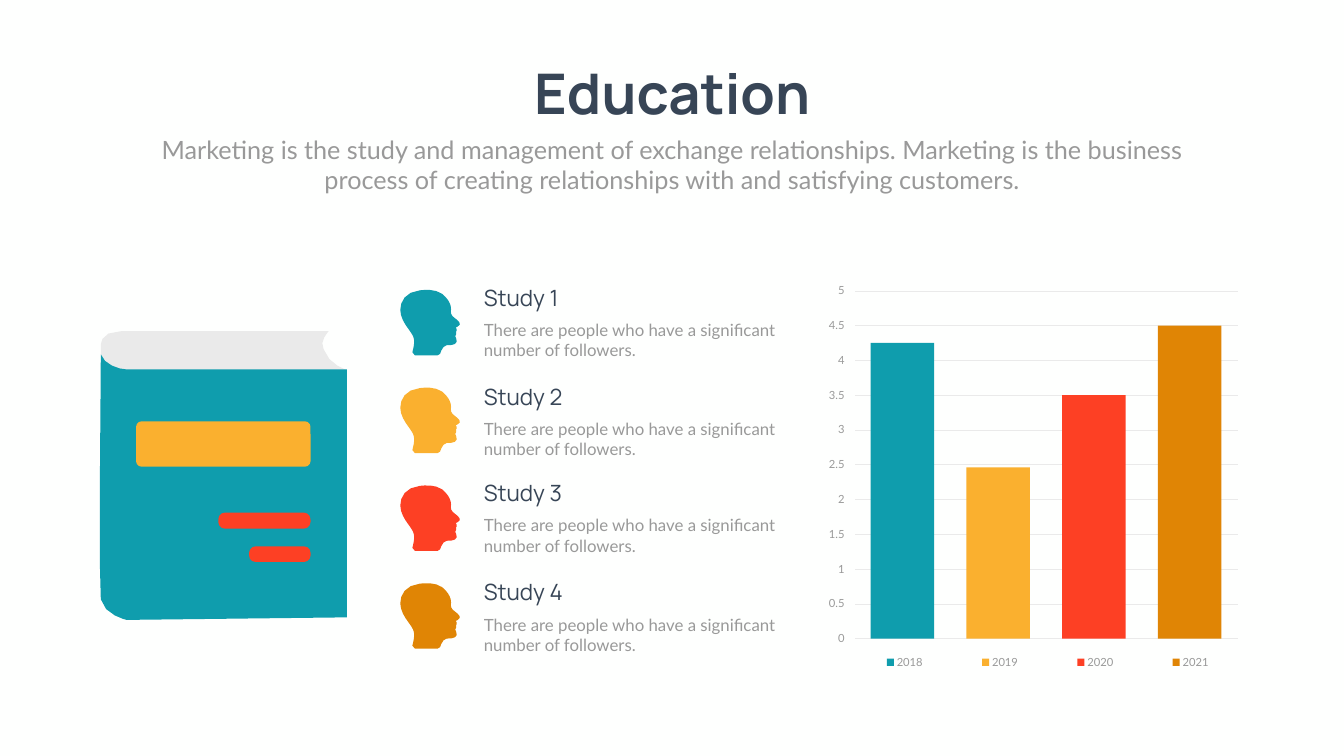
from math import dist

from lxml import etree
from pptx import Presentation
from pptx.dml.color import RGBColor
from pptx.enum.shapes import MSO_CONNECTOR as Connector, MSO_SHAPE as Shape
from pptx.enum.text import PP_ALIGN as Align
from pptx.oxml.ns import qn
from pptx.util import Inches, Pt

# Content
TITLE = "Education"
SUBTITLE = ("Marketing is the study and management of exchange relationships. "
            "Marketing is the business process of creating relationships with and satisfying customers.")
STUDIES = ["Study 1", "Study 2", "Study 3", "Study 4"]
STUDY_TEXT = "There are people who have a significant number of followers."
SCORES = {"2018": 4.25, "2019": 2.46, "2020": 3.5, "2021": 4.5}
SCALE_STEP, SCALE_STEPS = 0.5, 10

COLORS = {"paper": "FEFFFE", "ink": "374556", "gray": "999999", "light": "EAEAEA",
          "teal": "0F9DAD", "yellow": "FAB02F", "red": "FD4024", "orange": "E08505"}
ACCENTS = ["teal", "yellow", "red", "orange"]

# Grid: square cells, positions counted in columns and rows
COLUMNS, ROWS = 26.66, 15
CELL = Inches(1)
HEAD_LEFT, HEAD_TOP, HEAD_PITCH = 7.93, 5.74, 1.94
STUDY_LEFT, STUDY_TOPS = 9.5, [5.58, 7.55, 9.46, 11.43]
PLOT_LEFT, PLOT_RIGHT, BASELINE, STEP_HEIGHT = 16.97, 24.56, 12.67, 0.69
BAR_LEFT, BAR_WIDTH, BAR_PITCH = 17.27, 1.26, 1.9
KEY_LEFT, KEY_PITCH, KEY_SIZE = 17.59, 1.89, 0.14

# Outlines: start point, then lines (x, y) and Bézier curves (two handles, end)
PAGES = [(2.51, 7.34), (6.88, 7.34), (6.88, 7.34, 6.52, 7.24, 6.42, 6.93),
         (6.32, 6.78, 6.52, 6.57, 6.52, 6.57), (2.41, 6.57), (1.95, 6.57, 2, 6.88, 2, 6.88),
         (2, 7.03), (2.06, 7.24, 2.36, 7.34, 2.51, 7.34)]
COVER = [(2, 11.89), (2.06, 12.2, 2.51, 12.3, 2.51, 12.3), (6.88, 12.25), (6.88, 7.33), (2.51, 7.33),
         (2.36, 7.33, 2.06, 7.23, 2, 7.03), (2, 7.79, 1.95, 11.59, 2, 11.89)]
HEAD = [(0.16, 0.77), (0.1, 0.69, 0.01, 0.55, 0.01, 0.41), (0.01, 0.24, 0.11, 0.05, 0.4, 0.02),
        (0.49, 0.01, 0.7, -0.01, 0.84, 0.09), (0.95, 0.18, 0.99, 0.26, 1.01, 0.33),
        (1.03, 0.41, 1, 0.44, 1.02, 0.49), (1.04, 0.54, 1.08, 0.56, 1.14, 0.61),
        (1.18, 0.65, 1.2, 0.67, 1.19, 0.7), (1.17, 0.75, 1.12, 0.74, 1.11, 0.76),
        (1.11, 0.77, 1.12, 0.78, 1.13, 0.79), (1.13, 0.83), (1.11, 0.84),
        (1.12, 0.85), (1.13, 0.86, 1.13, 0.88, 1.12, 0.89), (1.12, 0.9, 1.11, 0.91, 1.1, 0.93),
        (1.1, 0.95, 1.14, 1, 1.13, 1.04), (1.11, 1.1, 1.04, 1.11, 0.93, 1.11),
        (0.86, 1.11, 0.81, 1.24, 0.8, 1.28), (0.79, 1.3, 0.77, 1.31, 0.75, 1.31), (0.3, 1.31),
        (0.27, 1.31, 0.25, 1.28, 0.25, 1.25), (0.27, 1.17, 0.3, 1.05, 0.28, 0.98),
        (0.27, 0.92, 0.21, 0.84, 0.16, 0.77)]
# Rounded bars on the book cover: box, corner share, color
COVER_BARS = [((2.7, 8.36, 3.46, 0.9), 0.12, "yellow"),
              ((4.33, 10.17, 1.83, 0.32), 0.42, "red"),
              ((4.94, 10.84, 1.22, 0.31), 0.42, "red")]


def rgb(name):
    return RGBColor.from_string(COLORS[name])


def cells(*lengths):
    return [round(length * CELL) for length in lengths]


def paint(shape, color):
    shape.fill.solid()
    shape.fill.fore_color.rgb = rgb(color)
    shape.line.fill.background()
    shape.shadow.inherit = False


def add_block(slide, box, color, kind=Shape.RECTANGLE):
    shape = slide.shapes.add_shape(kind, *cells(*box))
    paint(shape, color)
    return shape


def add_text(slide, box, text, size, color="gray", name="Lato", bold=False, align=Align.LEFT):
    frame = slide.shapes.add_textbox(*cells(*box)).text_frame
    frame.word_wrap = True
    frame.text = text
    paragraph = frame.paragraphs[0]
    paragraph.alignment = align
    font = paragraph.font
    font.size, font.name, font.bold = Pt(size), name, bold
    font.color.rgb = rgb(color)


def trace(outline):
    """Turn an outline into points, with more of them on longer curves."""
    points = [outline[0]]
    for segment in outline[1:]:
        if len(segment) == 2:
            points.append(segment)
            continue
        controls = [points[-1], segment[:2], segment[2:4], segment[4:]]
        steps = min(4, 1 + int(dist(controls[0], controls[3]) / 0.08))
        for step in range(1, steps + 1):
            t = step / steps
            weights = ((1 - t) ** 3, 3 * t * (1 - t) ** 2, 3 * t * t * (1 - t), t ** 3)
            points.append(tuple(sum(w * c[axis] for w, c in zip(weights, controls)) for axis in (0, 1)))
    return points


def add_outline(slide, outline, color, left=0, top=0):
    points = [cells(left + x, top + y) for x, y in trace(outline)]
    builder = slide.shapes.build_freeform(*points[0])
    builder.add_line_segments(points[1:], close=True)
    paint(builder.convert_to_shape(), color)


def add_book(slide):
    add_outline(slide, PAGES, "light")
    add_outline(slide, COVER, "teal")
    for box, corner, color in COVER_BARS:
        add_block(slide, box, color, Shape.ROUNDED_RECTANGLE).adjustments[0] = corner


def add_studies(slide):
    for row, (study, color, top) in enumerate(zip(STUDIES, ACCENTS, STUDY_TOPS)):
        add_outline(slide, HEAD, color, HEAD_LEFT, HEAD_TOP + row * HEAD_PITCH)
        add_text(slide, (STUDY_LEFT, top, 4.21, 0.64), study, 32, "ink", "Manrope")
        add_text(slide, (STUDY_LEFT, top + 0.71, 7.06, 0.91), STUDY_TEXT, 24)


def add_scores(slide):
    # Scale labels and grid lines
    for step in range(SCALE_STEPS + 1):
        y = BASELINE - step * STEP_HEIGHT
        add_text(slide, (16.21, y - 0.19, 0.64, 0.37), f"{step * SCALE_STEP:g}", 16, align=Align.RIGHT)
        line = slide.shapes.add_connector(Connector.STRAIGHT, *cells(PLOT_LEFT, y, PLOT_RIGHT, y))
        line.line.width = Pt(0.75)
        line.line.color.rgb = rgb("light")
        etree.SubElement(line.element.spPr, qn("a:effectLst"))

    # Columns, each with its year key
    for column, ((year, score), color) in enumerate(zip(SCORES.items(), ACCENTS)):
        height = score / SCALE_STEP * STEP_HEIGHT
        add_block(slide, (BAR_LEFT + column * BAR_PITCH, BASELINE - height, BAR_WIDTH, height), color)
        key_left = KEY_LEFT + column * KEY_PITCH
        add_block(slide, (key_left, 13.07, KEY_SIZE, KEY_SIZE), color)
        add_text(slide, (key_left + 0.1, 12.96, 0.72, 0.37), year, 16)


def main():
    presentation = Presentation()
    presentation.slide_width, presentation.slide_height = cells(COLUMNS, ROWS)
    slide = presentation.slides.add_slide(presentation.slide_layouts[6])
    slide.background.fill.solid()
    slide.background.fill.fore_color.rgb = rgb("paper")

    # Heading
    add_text(slide, (10.32, 1.12, 6.03, 1.45), TITLE, 80, "ink", "Manrope", True, Align.CENTER)
    add_text(slide, (2.92, 2.61, 20.82, 1.31), SUBTITLE, 36, align=Align.CENTER)

    add_book(slide)
    add_studies(slide)
    add_scores(slide)
    presentation.save("out.pptx")


if __name__ == "__main__":
    main()
